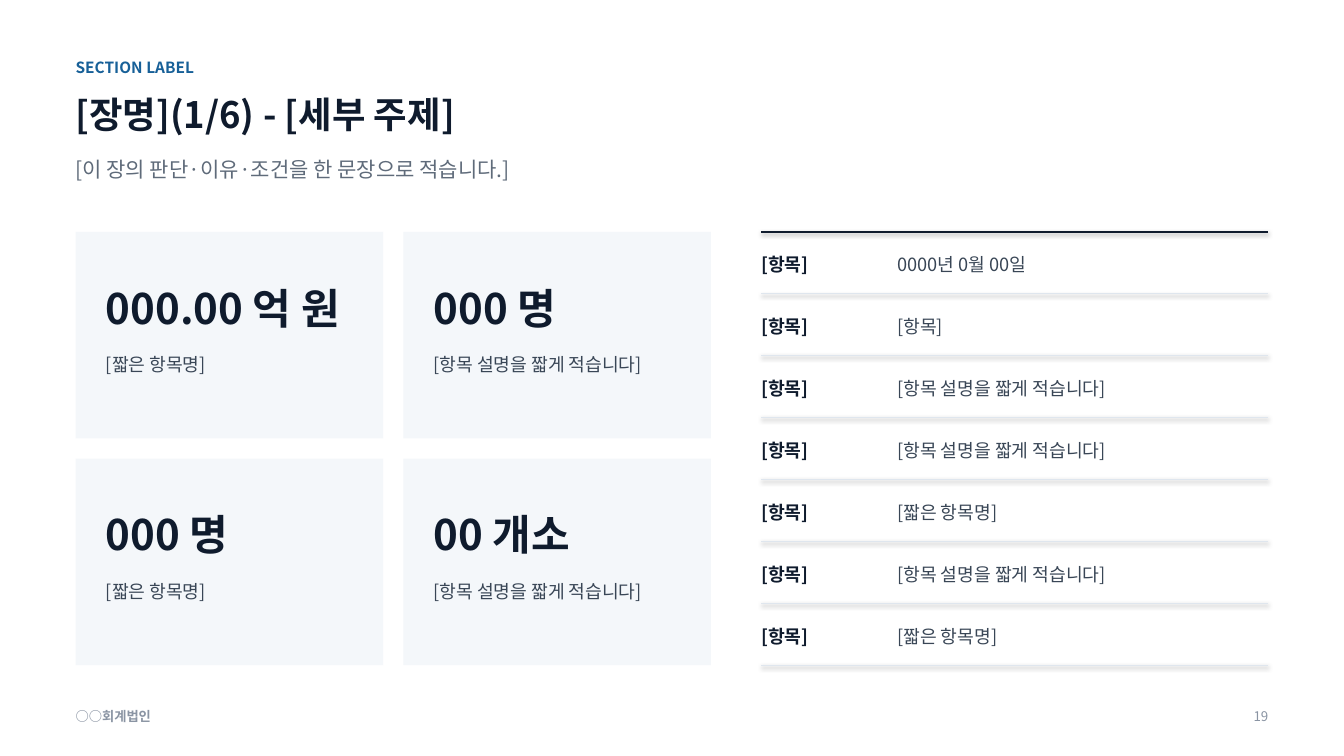
from dataclasses import dataclass

import lxml.etree
import pptx
import pptx.dml.color
import pptx.enum.shapes
import pptx.enum.text
import pptx.oxml.ns
import pptx.util

ANCHOR = pptx.enum.text.MSO_ANCHOR
ALIGN = pptx.enum.text.PP_ALIGN
FONT = "Noto Sans CJK KR"
INK, BODY, MUTED, FAINT = "0F1B2D", "394656", "5F6B7A", "8A94A3"
BLUE, PALE, RULE = "176098", "F4F7FA", "DFE6EE"

# Grid: square cells of 0.05 inch, counted in columns and rows
CELL = 0.05
LEFT, RIGHT = 15, 251.6
TOP, BASE = 46, 132
CARD_W, CARD_H, GAP, PAD = 61, 41, 4, 6
LIST_X, VALUE_X, LABEL_W = 151, 178, 26


@dataclass(frozen=True)
class Box:
    col: float
    row: float
    cols: float
    rows: float


@dataclass(frozen=True)
class Style:
    size: float
    color: str
    bold: bool = False
    space: float = 1.15
    anchor: ANCHOR = ANCHOR.TOP
    align: ALIGN = ALIGN.LEFT


@dataclass(frozen=True)
class Card:
    value: str
    note: str


@dataclass(frozen=True)
class Entry:
    label: str
    value: str


CARDS = [
    Card("000.00 억 원", "[짧은 항목명]"),
    Card("000 명", "[항목 설명을 짧게 적습니다]"),
    Card("000 명", "[짧은 항목명]"),
    Card("00 개소", "[항목 설명을 짧게 적습니다]"),
]
ENTRIES = [
    Entry("[항목]", "0000년 0월 00일"),
    Entry("[항목]", "[항목]"),
    Entry("[항목]", "[항목 설명을 짧게 적습니다]"),
    Entry("[항목]", "[항목 설명을 짧게 적습니다]"),
    Entry("[항목]", "[짧은 항목명]"),
    Entry("[항목]", "[항목 설명을 짧게 적습니다]"),
    Entry("[항목]", "[짧은 항목명]"),
]

FIGURE = Style(30, INK, True, anchor=ANCHOR.BOTTOM)
NOTE = Style(13, BODY, space=1.25)
LABEL = Style(13, INK, True, anchor=ANCHOR.MIDDLE)
VALUE = Style(13, BODY, anchor=ANCHOR.MIDDLE)


def cells(count: float) -> int:
    return pptx.util.Inches(count * CELL)


def frame(box: Box) -> tuple:
    return cells(box.col), cells(box.row), cells(box.cols), cells(box.rows)


def color(code: str) -> pptx.dml.color.RGBColor:
    return pptx.dml.color.RGBColor.from_string(code)


def write(slide, text: str, box: Box, style: Style) -> None:
    body = slide.shapes.add_textbox(*frame(box)).text_frame
    body.word_wrap = True
    body.margin_left = body.margin_right = 0
    body.margin_top = body.margin_bottom = 0
    body.vertical_anchor = style.anchor
    body.text = text
    para = body.paragraphs[0]
    para.alignment = style.align
    para.line_spacing = style.space
    font = para.runs[0].font
    font.name = FONT
    font.size = pptx.util.Pt(style.size)
    font.bold = style.bold
    font.color.rgb = color(style.color)
    # Hangul takes the East Asian typeface
    props = para.runs[0].font._element
    lxml.etree.SubElement(props, pptx.oxml.ns.qn("a:ea"), typeface=FONT)


def panel(slide, box: Box) -> None:
    kind = pptx.enum.shapes.MSO_SHAPE.RECTANGLE
    shape = slide.shapes.add_shape(kind, *frame(box))
    shape.shadow.inherit = False
    shape.fill.solid()
    shape.fill.fore_color.rgb = color(PALE)
    shape.line.fill.background()


def rule(slide, row: float, tint: str, width: float) -> None:
    # The theme's soft shadow under each rule is part of the design
    kind = pptx.enum.shapes.MSO_CONNECTOR.STRAIGHT
    line = slide.shapes.add_connector(
        kind, cells(LIST_X), cells(row), cells(RIGHT), cells(row)).line
    line.color.rgb = color(tint)
    line.width = pptx.util.Pt(width)


def header(slide) -> None:
    wide = RIGHT - LEFT
    write(slide, "SECTION LABEL", Box(LEFT, 11, 180, 5), Style(11, BLUE, True))
    write(slide, "[장명](1/6) - [세부 주제]", Box(LEFT, 17, wide, 12),
          Style(26, INK, True))
    write(slide, "[이 장의 판단·이유·조건을 한 문장으로 적습니다.]",
          Box(LEFT, 30.4, wide, 12.6), Style(15, MUTED))


def footer(slide) -> None:
    write(slide, "○○회계법인", Box(LEFT, 140, 120, 4.4),
          Style(9.5, FAINT, True))
    write(slide, "19", Box(RIGHT - 20, 140, 20, 4.4),
          Style(9.5, FAINT, align=ALIGN.RIGHT))


def board(slide) -> None:
    for spot, card in enumerate(CARDS):
        down, across = divmod(spot, 2)
        col = LEFT + across * (CARD_W + GAP)
        row = TOP + down * (CARD_H + GAP)
        panel(slide, Box(col, row, CARD_W, CARD_H))
        write(slide, card.value, Box(col + PAD, row + PAD, 51, 14), FIGURE)
        write(slide, card.note, Box(col + PAD, row + 23, 51, 14), NOTE)


def ledger(slide) -> None:
    step = (BASE - TOP) / len(ENTRIES)
    rule(slide, TOP, INK, 1)
    for spot, entry in enumerate(ENTRIES):
        row = TOP + spot * step
        write(slide, entry.label, Box(LIST_X, row, LABEL_W, step), LABEL)
        write(slide, entry.value,
              Box(VALUE_X, row, RIGHT - VALUE_X, step), VALUE)
        rule(slide, row + step, RULE, 0.75)


def main() -> None:
    deck = pptx.Presentation()
    deck.slide_width = pptx.util.Inches(13.33)
    deck.slide_height = pptx.util.Inches(7.5)
    slide = deck.slides.add_slide(deck.slide_layouts[6])
    slide.background.fill.solid()
    slide.background.fill.fore_color.rgb = color("FFFFFF")
    header(slide)
    footer(slide)
    board(slide)
    ledger(slide)
    deck.save("out.pptx")


if __name__ == "__main__":
    main()
